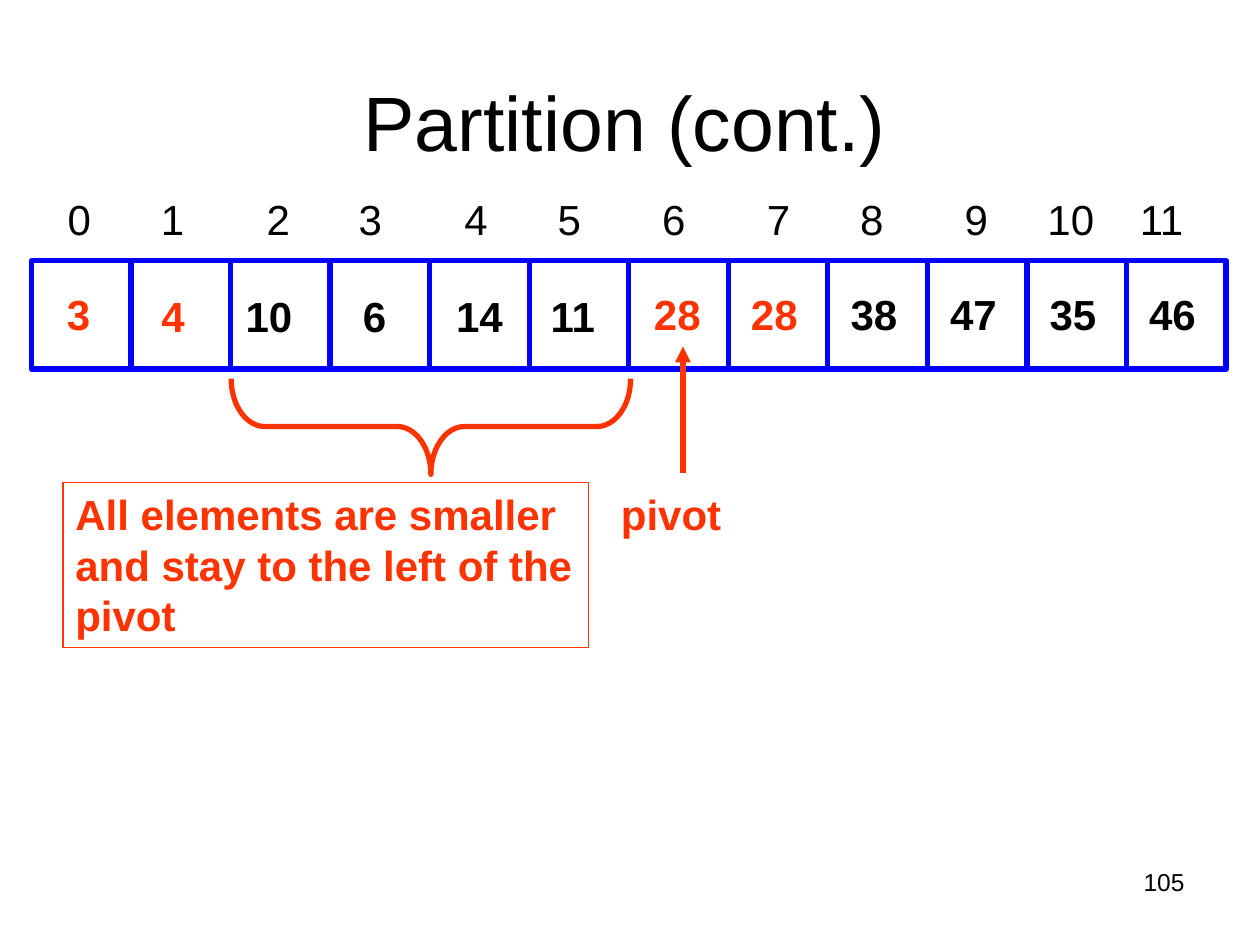
from lxml.etree import SubElement
from pptx import Presentation
from pptx.dml.color import RGBColor
from pptx.enum.shapes import MSO_CONNECTOR, MSO_SHAPE
from pptx.enum.text import MSO_ANCHOR, PP_ALIGN
from pptx.oxml.ns import qn
from pptx.util import Inches, Pt

BLACK = RGBColor(0, 0, 0)
WHITE = RGBColor(255, 255, 255)
BLUE = RGBColor(0, 0, 255)
ORANGE = RGBColor(255, 51, 0)

ROW_LEFT, ROW_TOP = 0.25, 2.07
CELL_WIDTH, CELL_HEIGHT = 0.79, 0.86
FILLED_CELLS = 7
SPACE_WIDTH = 0.09

INDEX_CENTERS = [0.36, 1.1, 1.94, 2.67, 3.51, 4.25, 5.08, 5.91, 6.65, 7.48, 8.23, 8.95]

ELEMENTS = [
    ("3", 0.25, 2.24, 2, ORANGE),
    ("4", 1.0, 2.26, 2, ORANGE),
    ("10", 1.85, 2.26, 0, BLACK),
    ("6", 2.6, 2.26, 2, BLACK),
    ("14", 3.43, 2.26, 1, BLACK),
    ("11", 4.18, 2.26, 1, BLACK),
    ("28", 5.0, 2.24, 1, ORANGE),
    ("28", 5.77, 2.24, 1, ORANGE),
    ("38", 6.56, 2.24, 1, BLACK),
    ("47", 7.35, 2.24, 1, BLACK),
    ("35", 8.14, 2.24, 1, BLACK),
    ("46", 8.93, 2.24, 1, BLACK),
]


def add_run(paragraph, text, size=24, color=BLACK, bold=False):
    run = paragraph.add_run()
    run.text = text
    run.font.name = "Arial"
    run.font.size = Pt(size)
    run.font.bold = bold
    run.font.color.rgb = color


def add_label(slide, text, box, size=24, color=BLACK, bold=True, align=PP_ALIGN.LEFT, indent=0):
    label = slide.shapes.add_textbox(*map(Inches, box))
    frame = label.text_frame
    frame.word_wrap = True
    frame.margin_left = Inches(0.1 + indent)
    paragraph = frame.paragraphs[0]
    paragraph.alignment = align
    add_run(paragraph, text, size, color, bold)
    return label


def add_outline(slide, preset, box, color, weight, fill=None):
    outline = slide.shapes.add_shape(preset, *map(Inches, box))
    outline.shadow.inherit = False
    outline.line.color.rgb = color
    outline.line.width = Pt(weight)
    if fill is None:
        outline.fill.background()
    else:
        outline.fill.solid()
        outline.fill.fore_color.rgb = fill
    return outline


def add_title(slide, text):
    title = slide.shapes.title
    title.left, title.top, title.width, title.height = map(Inches, (0.75, 0.33, 8.42, 1.25))
    title.text_frame.vertical_anchor = MSO_ANCHOR.MIDDLE
    paragraph = title.text_frame.paragraphs[0]
    paragraph.alignment = PP_ALIGN.CENTER
    add_run(paragraph, text, 44)


def add_indices(slide):
    text = "".join(f"\t{index}" for index in range(len(INDEX_CENTERS)))
    indices = add_label(slide, text, (0.17, 1.49, 9.58, 0.5), bold=False)
    properties = indices.text_frame.paragraphs[0]._p.get_or_add_pPr()
    stops = SubElement(properties, qn("a:tabLst"))
    for center in INDEX_CENTERS:
        SubElement(stops, qn("a:tab"), pos=str(Inches(center)), algn="ctr")


def add_array(slide):
    for index in range(len(ELEMENTS)):
        box = (ROW_LEFT + index * CELL_WIDTH, ROW_TOP, CELL_WIDTH, CELL_HEIGHT)
        fill = WHITE if index < FILLED_CELLS else None
        add_outline(slide, MSO_SHAPE.RECTANGLE, box, BLUE, 3, fill)
    for value, left, top, spaces, color in ELEMENTS:
        add_label(slide, value, (left, top, 0.99, 0.65), color=color, indent=spaces * SPACE_WIDTH)


def add_pivot_arrow(slide):
    arrow = slide.shapes.add_connector(
        MSO_CONNECTOR.STRAIGHT, Inches(5.42), Inches(3.75), Inches(5.42), Inches(2.75)
    )
    arrow.line.color.rgb = ORANGE
    arrow.line.width = Pt(3)
    SubElement(arrow.line._get_or_add_ln(), qn("a:tailEnd"), type="triangle")
    SubElement(arrow._element.spPr, qn("a:effectLst"))


def add_brace(slide):
    brace = add_outline(slide, MSO_SHAPE.LEFT_BRACE, (3.04, 1.8, 0.76, 3.17), ORANGE, 3)
    brace.rotation = 270
    brace.adjustments[0] = 0.35
    brace.adjustments[1] = 0.5


def add_explanation(slide, text):
    explanation = add_outline(slide, MSO_SHAPE.RECTANGLE, (0.5, 3.83, 4.17, 1.31), ORANGE, 0.75)
    frame = explanation.text_frame
    frame.word_wrap = True
    frame.vertical_anchor = MSO_ANCHOR.TOP
    paragraph = frame.paragraphs[0]
    paragraph.alignment = PP_ALIGN.LEFT
    add_run(paragraph, text, color=ORANGE, bold=True)


def main():
    deck = Presentation()
    deck.slide_width, deck.slide_height = Inches(10), Inches(7.5)
    slide = deck.slides.add_slide(deck.slide_layouts[5])
    add_title(slide, "Partition (cont.)")
    add_label(slide, "105", (7.17, 6.83, 2.33, 0.52), 14, bold=False, align=PP_ALIGN.RIGHT)
    add_indices(slide)
    add_array(slide)
    add_pivot_arrow(slide)
    add_label(slide, "pivot", (4.83, 3.83, 2.58, 0.5), color=ORANGE)
    add_brace(slide)
    add_explanation(slide, "All elements are smaller and stay to the left of the pivot")
    deck.save("out.pptx")


if __name__ == "__main__":
    main()
